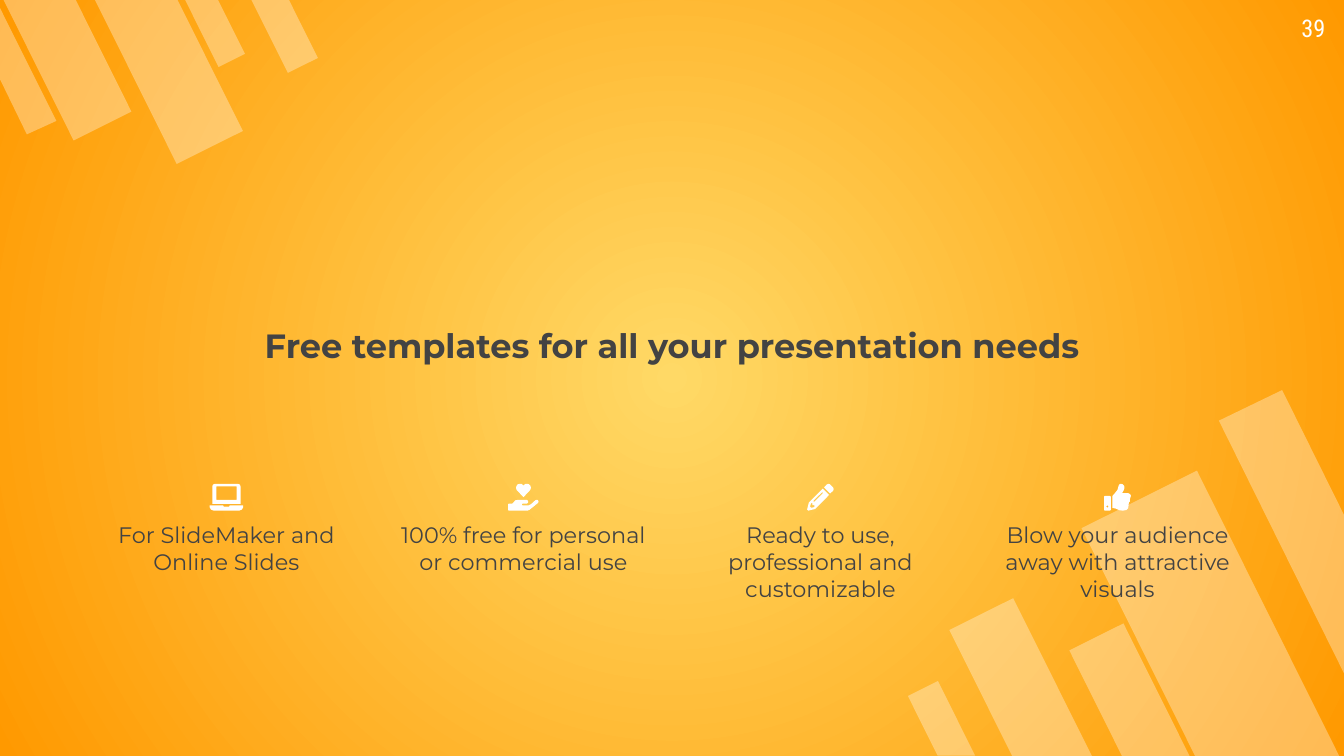
from collections import namedtuple

from lxml.etree import SubElement
from pptx import Presentation
from pptx.dml.color import RGBColor
from pptx.enum.shapes import MSO_SHAPE as Shape
from pptx.enum.text import MSO_ANCHOR as Anchor, MSO_AUTO_SIZE as AutoSize, PP_ALIGN as Align
from pptx.oxml.ns import qn
from pptx.util import Pt

Box = namedtuple("Box", "left top width height")

WHITE, GREY = "FFFFFF", "434343"
ICON_UNIT = 0.72

LAPTOP = (25, [
    [(2, 15), (2, 2), (2.5, 0.6), (4, 0), (21, 0), (22.5, 0.6), (23, 2), (23, 15)],
    [(5, 2), (20, 2), (20, 12), (5, 12)],
    [(0, 16), (10, 16), (10.5, 17), (14.5, 17), (15, 16), (25, 16), (25, 17.5),
     (24, 19.2), (22, 20), (3, 20), (1, 19.2), (0, 17.5)],
])
HEART_IN_HAND = (23, [
    [(11.5, 1.3), (12.8, 0.2), (14, 0), (15.5, 0.3), (16.7, 1.5), (17, 3), (16.6, 4.6),
     (11.5, 10), (6.4, 4.6), (6, 3), (6.3, 1.5), (7.5, 0.3), (9, 0), (10.2, 0.2)],
    [(7.5, 12), (5.5, 12.3), (3.2, 14.8), (0.6, 14.8), (0, 15.4), (0, 19.4), (0.6, 20),
     (14.5, 20), (16, 19.4), (22.4, 14.2), (22.7, 13), (22, 12), (20.5, 12.1), (17, 15.3),
     (15.5, 16), (10.7, 16), (10.2, 15.5), (10.7, 14.8), (14, 14.8), (15, 14), (15, 12.8), (14, 12)],
])
PENCIL = (20, [
    [(14.7, 0.5), (16, 0), (17.2, 0.5), (19.4, 2.8), (19.8, 4), (19.4, 5.2), (17.2, 7.2), (12.6, 2.8)],
    [(11.7, 3.6), (16.4, 8.3), (6, 18.8), (0.8, 20), (0, 19.2), (1.3, 13.9)],
    [(11.2, 6.3), (11.8, 6.7), (11.6, 7.3), (5.3, 13.5), (4.7, 13.1), (4.9, 12.4)],
    [(3, 14.4), (2.2, 17), (3, 17.9), (5.5, 17.4), (5.5, 15.9), (4, 15.9), (4, 14.4)],
])
THUMB_UP = (20, [
    [(0.6, 9), (4.4, 9), (5, 9.6), (5, 19.4), (4.4, 20), (0.6, 20), (0, 19.4), (0, 9.6)],
    [(2.5, 16.1), (3.4, 17), (2.5, 17.9), (1.6, 17)],
    [(12, 0), (13.8, 0.3), (15, 1.6), (15.2, 3), (14.8, 4.6), (13.4, 7), (18, 7), (19.4, 7.7),
     (20, 9), (19.4, 10.8), (19.2, 13.2), (18.5, 14), (18.3, 16.2), (17.9, 18.3), (16.5, 19.6),
     (14, 20), (11.5, 19.7), (8.5, 18.4), (6.2, 18), (6.2, 9.2), (8.5, 6.5), (10, 4.5), (11, 1)],
])

FEATURES = [
    ("For SlideMaker and Online Slides", LAPTOP),
    ("100% free for personal or commercial use", HEART_IN_HAND),
    ("Ready to use, professional and customizable", PENCIL),
    ("Blow your audience away with attractive visuals", THUMB_UP),
]

BOTTOM_BARS = [(32.8, 115, 38.2, 95), (119.2, 49.5, 69.1, 172.1), (94, 128, 32.4, 79.9), (0.4, 157.5, 18, 44.6)]
BOTTOM_CUT_BAR = [(191.9, 0), (158, 16.4), (225, 151.7), (225, 66.8)]
TOP_BARS = [(107.3, -5.8, 15.8, 40.3), (18.7, -13, 34.6, 85), (70.6, -14.4, 39.6, 98.6), (143.3, -7.2, 18, 44.6)]
TOP_CUT_BAR = [(14.4, 72), (30.2, 64.8), (0, 4.3), (0, 42.5)]


def color(value):
    """Turn a hex string into a colour."""
    return RGBColor.from_string(value)


def paint(shape, fill, opacity=100):
    """Give a shape a flat fill without line or shadow."""
    shape.shadow.inherit = False
    shape.line.fill.background()
    shape.fill.solid()
    shape.fill.fore_color.rgb = color(fill)
    if opacity < 100:
        solid = shape.element.spPr.find(qn("a:solidFill"))
        SubElement(solid[0], qn("a:alpha")).set("val", str(opacity * 1000))


def add_outline(slide, box, contours, unit=1):
    """Draw closed contours measured from the box corner."""
    paths = [[(Pt(box.left + x * unit), Pt(box.top + y * unit)) for x, y in contour] for contour in contours]
    builder = slide.shapes.build_freeform(*paths[0][0], scale=1.0)
    builder.add_line_segments(paths[0][1:], close=True)
    for points in paths[1:]:
        builder.move_to(*points[0])
        builder.add_line_segments(points[1:], close=True)
    return builder.convert_to_shape()


def write(shape, box, text, size, fill, font="Montserrat", align=Align.CENTER, bold=False, inset=0):
    """Place a text shape in the box and write one run in it."""
    shape.left, shape.top, shape.width, shape.height = (Pt(length) for length in box)
    frame = shape.text_frame
    frame.auto_size = AutoSize.NONE
    frame.word_wrap = True
    frame.vertical_anchor = Anchor.TOP
    frame.margin_left = frame.margin_right = frame.margin_top = frame.margin_bottom = Pt(inset)
    paragraph = frame.paragraphs[0]
    paragraph.alignment = align
    run = paragraph.add_run()
    run.text = text
    run.font.name = font
    run.font.size = Pt(size)
    run.font.bold = bold
    run.font.color.rgb = color(fill)


def add_text(slide, box, *args, **options):
    """Add a text box with one run."""
    write(slide.shapes.add_textbox(*(Pt(length) for length in box)), box, *args, **options)


def set_background(slide, center, edge):
    """Fill the background with a circular gradient."""
    fill = slide.background.fill
    fill.gradient()
    for stop, value in zip(fill.gradient_stops, (center, edge)):
        stop.color.rgb = color(value)
    gradient = slide.element.find(".//" + qn("a:gradFill"))
    gradient.remove(gradient.find(qn("a:lin")))
    circle = SubElement(gradient, qn("a:path"))
    circle.set("path", "circle")
    focus = SubElement(circle, qn("a:fillToRect"))
    for side in "ltrb":
        focus.set(side, "50000")


def add_corner_bars(slide, box, bars, cut_bar, rotation):
    """Draw the translucent slanted bars of one corner."""
    for left, top, width, height in bars:
        bar = slide.shapes.add_shape(Shape.FLOWCHART_MANUAL_INPUT, Pt(box.left + left), Pt(box.top + top),
                                     Pt(width), Pt(height))
        bar.rotation = rotation
        bar.element.spPr.find(qn("a:xfrm")).set("flipH", "1")
        paint(bar, WHITE, 33)
    paint(add_outline(slide, box, [cut_bar]), WHITE, 33)


def add_feature(slide, box, text, icon):
    """Place an icon centred above its caption."""
    icon_width, contours = icon
    icon_left = box.left + (box.width - icon_width * ICON_UNIT) / 2
    paint(add_outline(slide, box._replace(left=icon_left), contours, ICON_UNIT), WHITE)
    caption = Box(box.left, box.top + 20.16, box.width, box.height - 20.16)
    add_text(slide, caption, text, 12, GREY)


def add_feature_row(slide, box):
    """Spread the features evenly across the box."""
    width = 133.2
    pitch = (box.width - width) / (len(FEATURES) - 1)
    for index, (text, icon) in enumerate(FEATURES):
        add_feature(slide, Box(box.left + index * pitch, box.top, width, box.height), text, icon)


def main():
    """Build and save the slide."""
    presentation = Presentation()
    presentation.slide_width, presentation.slide_height = Pt(720), Pt(405)
    slide = presentation.slides.add_slide(presentation.slide_layouts[5])
    set_background(slide, "FFD966", "FF9900")
    add_corner_bars(slide, Box(495, 209, 225, 196), BOTTOM_BARS, BOTTOM_CUT_BAR, 153.5)
    add_corner_bars(slide, Box(0, 0, 171, 89), TOP_BARS, TOP_CUT_BAR, 333.5)
    write(slide.shapes.title, Box(87.1, 174.2, 545.8, 20.9),
          "Free templates for all your presentation needs", 18, GREY, bold=True)
    add_feature_row(slide, Box(54.72, 259.2, 610.56, 70.56))
    add_text(slide, Box(673.9, 0, 43.2, 31), "39", 13, WHITE,
             font="Roboto Condensed", align=Align.RIGHT, inset=7.2)
    presentation.save("out.pptx")


if __name__ == "__main__":
    main()
